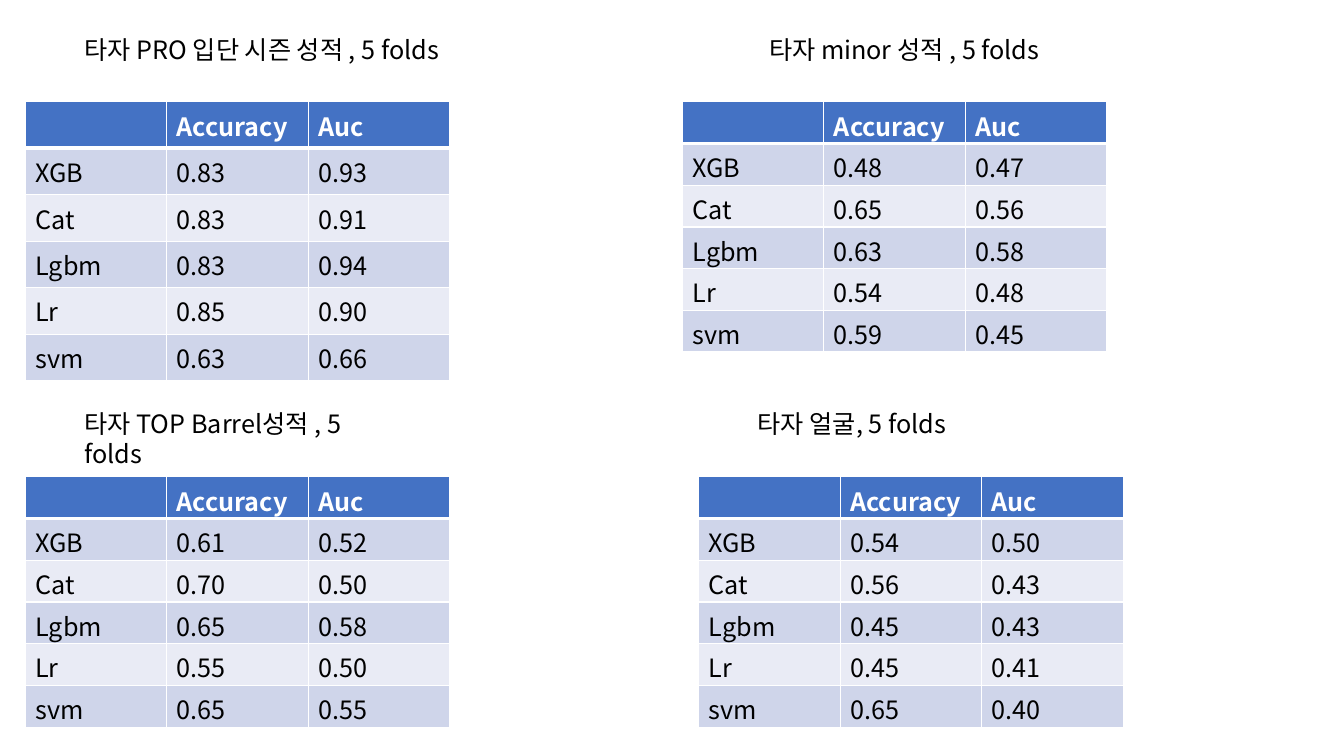
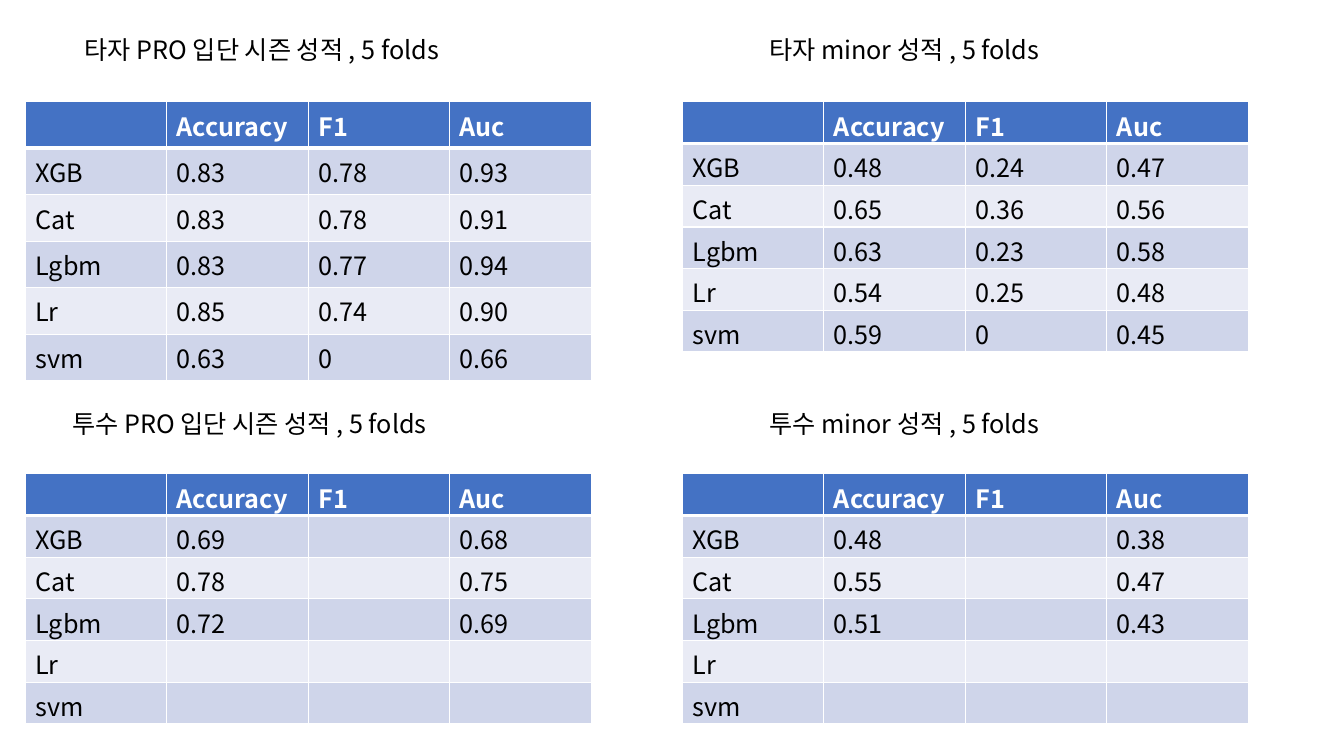
from dataclasses import dataclass

from lxml.etree import SubElement
from pptx import Presentation
from pptx.dml.color import RGBColor
from pptx.enum.text import MSO_AUTO_SIZE
from pptx.oxml.ns import qn
from pptx.util import Pt

FONT = "Noto Sans CJK KR"
TEXT_SIZE = 18
COLORS = {
    "header": "4472C4",
    "odd_row": "CFD5EA",
    "even_row": "E9EBF5",
    "text": "000000",
    "white": "FFFFFF",
}

# Shared grid, in points
COLUMN_WIDTH = 101.1
ROW_HEIGHT, TALL_ROW = 29.8, 33.2
LEFT, RIGHT = 18, 487.4
TABLE_TOP = 72.7
CAPTION_TOPS = (20.9, 288)
CAPTION_HEIGHT = 29
CAPTION_LEFT, CAPTION_RIGHT = 53.3, 542.2
WIDE, NARROW = 294.5, 215

MODELS = ("XGB", "Cat", "Lgbm", "Lr", "svm")
TWO_SCORES = ("Accuracy", "Auc")
THREE_SCORES = ("Accuracy", "F1", "Auc")


@dataclass(frozen=True)
class Caption:
    text: str
    left: float
    top: float
    width: float


@dataclass(frozen=True)
class ScoreTable:
    left: float
    top: float
    scores: tuple[str, ...]
    columns: tuple[str, ...]  # one string of values per score
    row_height: float = ROW_HEIGHT

    def rows(self) -> list[list[str]]:
        values = [column.split() for column in self.columns]
        body = [
            [model] + [column[i] if i < len(column) else "" for column in values]
            for i, model in enumerate(MODELS)
        ]
        return [["", *self.scores], *body]


@dataclass(frozen=True)
class Panel:
    caption: Caption
    table: ScoreTable


def add_run(para, text: str, color: str, bold: bool = False) -> None:
    span = para.add_run()
    span.text = text
    span.font.size = Pt(TEXT_SIZE)
    span.font.name = FONT
    span.font.bold = bold
    span.font.color.rgb = RGBColor.from_string(COLORS[color])
    east_asian = SubElement(span.font._element, qn("a:ea"))
    east_asian.set("typeface", FONT)


def set_borders(cell, bottom_width: float) -> None:
    properties = cell._tc.get_or_add_tcPr()
    widths = {"a:lnL": 1, "a:lnR": 1, "a:lnT": 1, "a:lnB": bottom_width}
    for position, (tag, width) in enumerate(widths.items()):
        line = SubElement(properties, qn(tag), w=str(Pt(width)))
        fill = SubElement(line, qn("a:solidFill"))
        SubElement(fill, qn("a:srgbClr"), val=COLORS["white"])
        properties.insert(position, line)  # borders come before the fill


def add_caption(page, caption: Caption) -> None:
    box = page.shapes.add_textbox(
        Pt(caption.left), Pt(caption.top), Pt(caption.width), Pt(CAPTION_HEIGHT)
    )
    frame = box.text_frame
    frame.word_wrap = True
    frame.auto_size = MSO_AUTO_SIZE.SHAPE_TO_FIT_TEXT
    add_run(frame.paragraphs[0], caption.text, "text")


def add_score_table(page, scores: ScoreTable) -> None:
    rows = scores.rows()
    count = len(rows[0])
    table = page.shapes.add_table(
        len(rows), count, Pt(scores.left), Pt(scores.top),
        Pt(COLUMN_WIDTH * count), Pt(scores.row_height * len(rows)),
    ).table
    for column in table.columns:
        column.width = Pt(COLUMN_WIDTH)
    for i, values in enumerate(rows):
        table.rows[i].height = Pt(scores.row_height)
        is_header = i == 0
        fill = "header" if is_header else "odd_row" if i % 2 else "even_row"
        for j, value in enumerate(values):
            cell = table.cell(i, j)
            cell.margin_bottom = Pt(0)
            cell.fill.solid()
            cell.fill.fore_color.rgb = RGBColor.from_string(COLORS[fill])
            set_borders(cell, 3 if is_header else 1)
            if value:
                add_run(cell.text_frame.paragraphs[0], value,
                        "white" if is_header else "text", is_header)


# Score columns that both slides show
PRO_ACCURACY, PRO_AUC = "0.83 0.83 0.83 0.85 0.63", "0.93 0.91 0.94 0.90 0.66"
MINOR_ACCURACY, MINOR_AUC = "0.48 0.65 0.63 0.54 0.59", "0.47 0.56 0.58 0.48 0.45"

UPPER, LOWER = CAPTION_TOPS
BATTER_PRO = Caption("타자 PRO 입단 시즌 성적 , 5 folds", CAPTION_LEFT, UPPER, WIDE)
BATTER_MINOR = Caption("타자 minor 성적 , 5 folds", CAPTION_RIGHT, UPPER, NARROW)

SLIDES = (
    # Batters: accuracy and AUC
    (
        Panel(BATTER_PRO,
              ScoreTable(LEFT, TABLE_TOP, TWO_SCORES, (PRO_ACCURACY, PRO_AUC), TALL_ROW)),
        Panel(BATTER_MINOR,
              ScoreTable(RIGHT, TABLE_TOP, TWO_SCORES, (MINOR_ACCURACY, MINOR_AUC))),
        Panel(Caption("타자 TOP Barrel성적 , 5 folds", CAPTION_LEFT, LOWER, 240),
              ScoreTable(LEFT, 340.6, TWO_SCORES,
                         ("0.61 0.70 0.65 0.55 0.65", "0.52 0.50 0.58 0.50 0.55"))),
        Panel(Caption("타자 얼굴, 5 folds", 534.2, LOWER, 160.6),
              ScoreTable(499, 340.6, TWO_SCORES,
                         ("0.54 0.56 0.45 0.45 0.65", "0.50 0.43 0.43 0.41 0.40"))),
    ),
    # Batters and pitchers: accuracy, F1 and AUC
    (
        Panel(BATTER_PRO,
              ScoreTable(LEFT, TABLE_TOP, THREE_SCORES,
                         (PRO_ACCURACY, "0.78 0.78 0.77 0.74 0", PRO_AUC), TALL_ROW)),
        Panel(BATTER_MINOR,
              ScoreTable(RIGHT, TABLE_TOP, THREE_SCORES,
                         (MINOR_ACCURACY, "0.24 0.36 0.23 0.25 0", MINOR_AUC))),
        Panel(Caption("투수 PRO 입단 시즌 성적 , 5 folds", 44.6, LOWER, WIDE),
              ScoreTable(LEFT, 338.4, THREE_SCORES,
                         ("0.69 0.78 0.72", "", "0.68 0.75 0.69"))),
        Panel(Caption("투수 minor 성적 , 5 folds", CAPTION_RIGHT, LOWER, NARROW),
              ScoreTable(RIGHT, 338.4, THREE_SCORES,
                         ("0.48 0.55 0.51", "", "0.38 0.47 0.43"))),
    ),
)


def main() -> None:
    deck = Presentation()
    deck.slide_width, deck.slide_height = Pt(960), Pt(540)
    for panels in SLIDES:
        page = deck.slides.add_slide(deck.slide_layouts[6])
        for panel in panels:
            add_score_table(page, panel.table)
            add_caption(page, panel.caption)
    deck.save("out.pptx")


if __name__ == "__main__":
    main()
